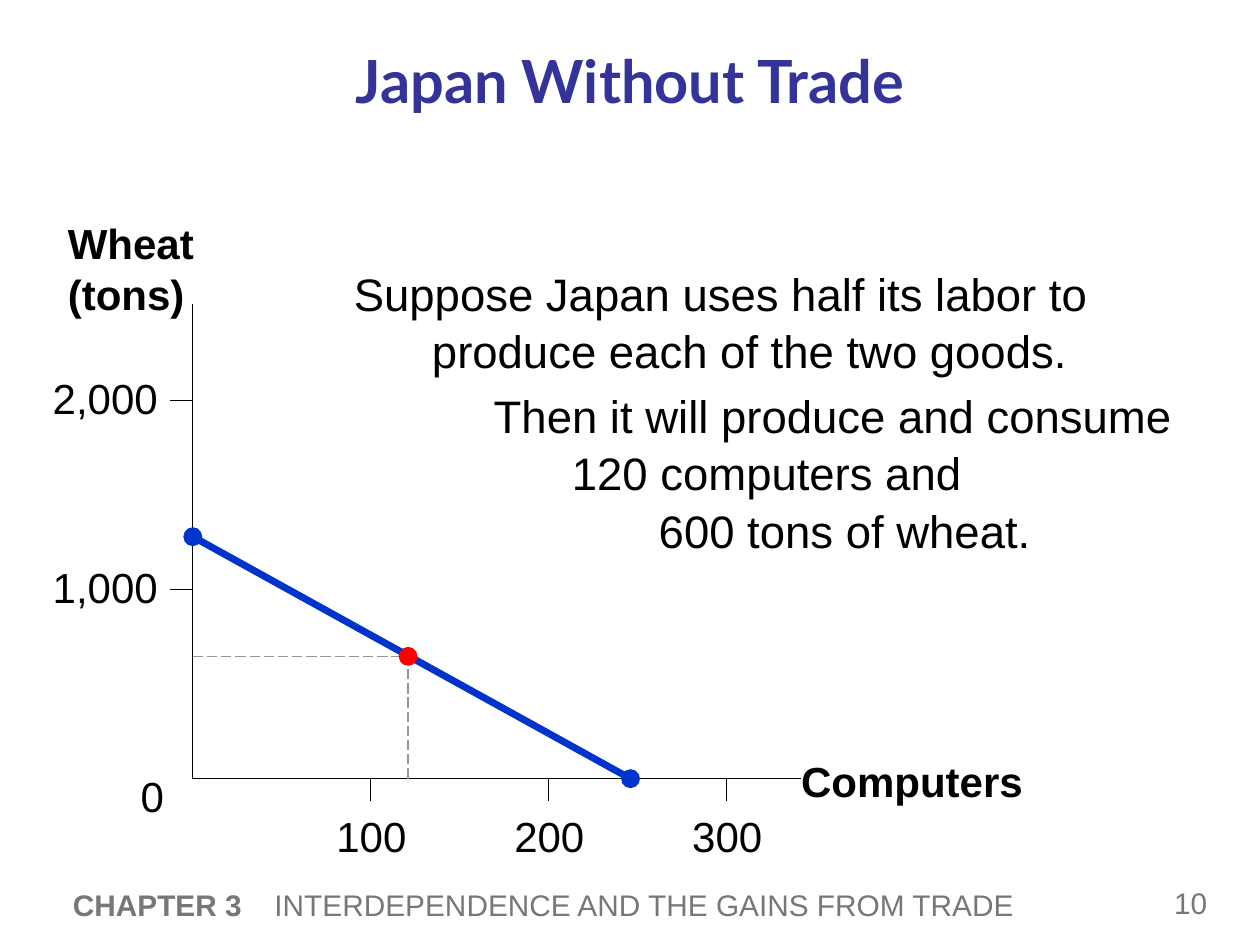
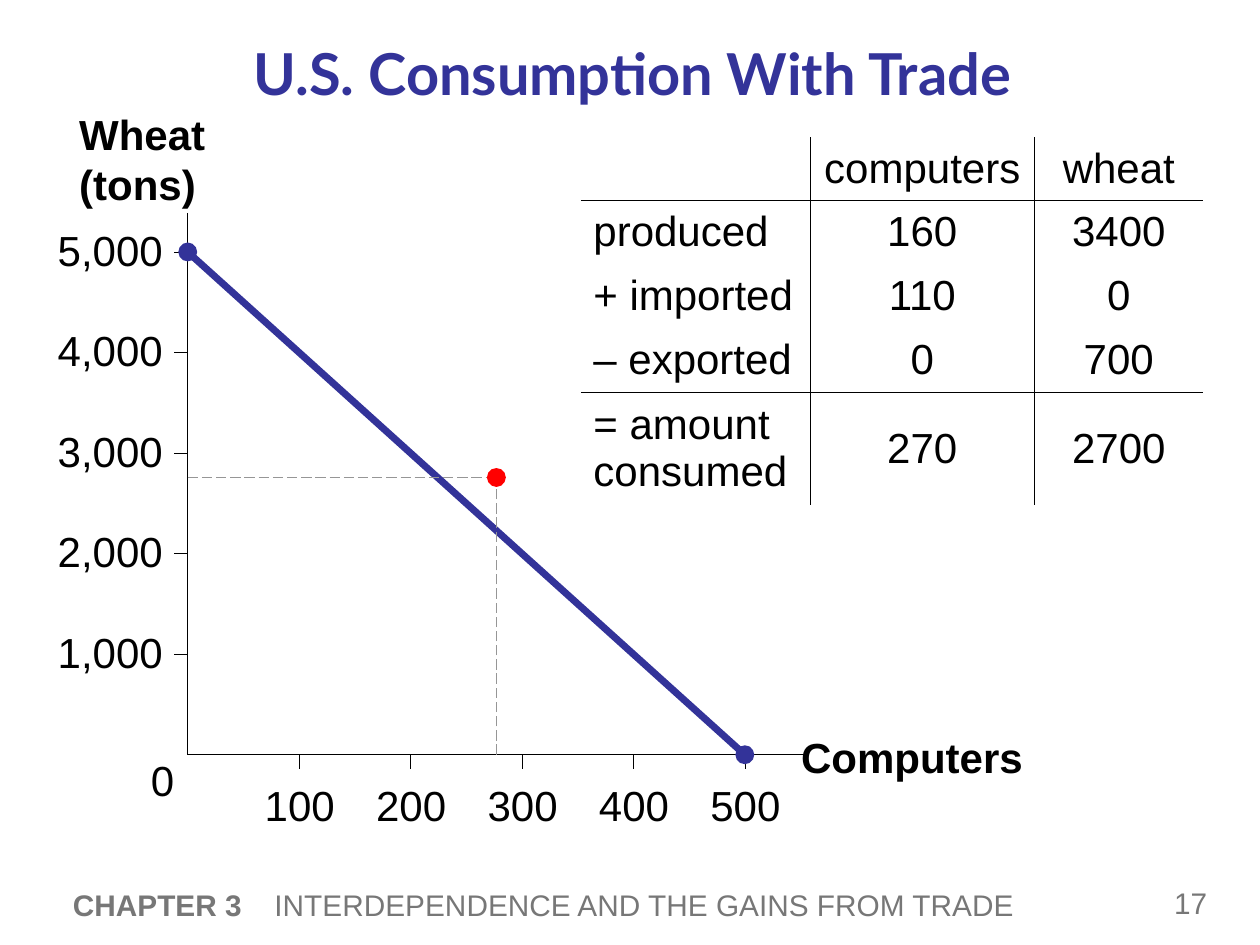
from dataclasses import dataclass

from lxml import etree
from pptx import Presentation
from pptx.dml.color import RGBColor
from pptx.enum.dml import MSO_LINE
from pptx.enum.shapes import MSO_CONNECTOR, MSO_SHAPE
from pptx.enum.text import MSO_ANCHOR, PP_ALIGN
from pptx.oxml.ns import qn
from pptx.util import Inches, Pt

LEFT, CENTER = PP_ALIGN.LEFT, PP_ALIGN.CENTER
TOP, MIDDLE = MSO_ANCHOR.TOP, MSO_ANCHOR.MIDDLE
STRAIGHT, OVAL, DASH = MSO_CONNECTOR.STRAIGHT, MSO_SHAPE.OVAL, MSO_LINE.LONG_DASH

COLORS = {"title": "333399", "text": "000000", "footer": "777777", "page": "FFFFFF",
          "japan": "0033CC", "us": "333399", "guide": "969696", "point": "FF0000"}
FONT, TITLE_FONT = "Arial", "Lato"
COLS, ROWS = 100, 75  # grid laid over the slide
LABEL = 24
DOT = 1.5

prs = Presentation()
prs.slide_width, prs.slide_height = Inches(10), Inches(7.5)
TITLE_ONLY = prs.slide_layouts[5]


def x_at(cols):
    return int(prs.slide_width * cols / COLS)


def y_at(rows):
    return int(prs.slide_height * rows / ROWS)


def place(box):
    x, y, w, h = box
    return x_at(x), y_at(y), x_at(w), y_at(h)


def rgb(name):
    return RGBColor.from_string(COLORS[name])


def style(p, size, color="text", bold=False, align=LEFT, font=FONT):
    p.alignment = align
    f = p.font
    f.name, f.size, f.bold, f.color.rgb = font, Pt(size), bold, rgb(color)


def add_text(s, box, lines, size=LABEL, anchor=TOP, **look):
    tf = s.shapes.add_textbox(*place(box)).text_frame
    tf.word_wrap, tf.vertical_anchor = True, anchor
    tf.text = lines
    for p in tf.paragraphs:
        style(p, size, **look)
    return tf


def add_line(s, start, end, width, color="text", dash=None):
    line = s.shapes.add_connector(STRAIGHT, x_at(start[0]), y_at(start[1]),
                                  x_at(end[0]), y_at(end[1]))
    line.line.width, line.line.color.rgb = Pt(width), rgb(color)
    if dash:
        line.line.dash_style = dash
    etree.SubElement(line._element.spPr, qn("a:effectLst"))


def add_dot(s, center, color):
    x, y = center
    dot = s.shapes.add_shape(OVAL, *place((x - DOT / 2, y - DOT / 2, DOT, DOT)))
    dot.shadow.inherit = False
    dot.fill.solid()
    dot.fill.fore_color.rgb = rgb(color)
    dot.line.fill.background()


# Title, footer and page number
def add_frame(title, title_box, title_size, number):
    s = prs.slides.add_slide(TITLE_ONLY)
    shape = s.shapes.title
    shape.left, shape.top, shape.width, shape.height = place(title_box)
    tf = shape.text_frame
    tf.text, tf.vertical_anchor = title, MIDDLE
    style(tf.paragraphs[0], title_size, "title", True, CENTER, TITLE_FONT)

    p = add_text(s, (4.8, 69.6, 85.9, 4.4), "CHAPTER 3", 17, MIDDLE,
                 color="footer").paragraphs[0]
    p.runs[0].font.bold = True
    p.add_run().text = "\tINTERDEPENDENCE AND THE GAINS FROM TRADE"
    tabs = etree.Element(qn("a:tabLst"))
    etree.SubElement(tabs, qn("a:tab"), pos=str(x_at(16)), algn="l")
    p._p.get_or_add_pPr().find(qn("a:defRPr")).addprevious(tabs)

    add_text(s, (92.2, 69.6, 6.7, 4.1), number, 17, MIDDLE, color="footer")
    return s


@dataclass
class Plot:
    """Axes box on the grid, the values at its far ends, and label offsets."""
    box: tuple
    x_max: float
    y_max: float
    tick: float
    y_label_dx: float
    x_label_dy: float
    zero: tuple
    wheat: tuple

    def at(self, computers, wheat):
        x, y, w, h = self.box
        return x + w * computers / self.x_max, y + h * (1 - wheat / self.y_max)


# Production possibilities frontier with a consumption point
def add_frontier(s, plot, ends, point, color):
    x0, y0 = plot.at(0, 0)
    top, right = plot.at(0, plot.y_max), plot.at(plot.x_max, 0)

    # Axes and their names
    add_line(s, top, (x0, y0), 0.75)
    add_line(s, (x0, y0), right, 0.75)
    add_text(s, (62.6, y0 - 2.3, 21, 5), "Computers", bold=True)
    add_text(s, (x0 + plot.wheat[0], top[1] + plot.wheat[1], 12.2, 9),
             "Wheat (tons)", bold=True)

    # Ticks and values
    for wheat in range(1000, int(plot.y_max), 1000):
        _, y = plot.at(0, wheat)
        add_line(s, (x0, y), (x0 - plot.tick, y), 0.25)
        add_text(s, (x0 + plot.y_label_dx, y - 2.7, 10.5, 5), f"{wheat:,}")
    for computers in range(100, int(plot.x_max), 100):
        x, _ = plot.at(computers, 0)
        add_line(s, (x, y0), (x, y0 + plot.tick), 0.25)
        add_text(s, (x - 6.4, y0 + plot.x_label_dy, 12.9, 5), str(computers), align=CENTER)
    add_text(s, (x0 + plot.zero[0] - 3, y0 + plot.zero[1], 6, 5), "0", align=CENTER)

    # Frontier between its two ends
    max_computers, max_wheat = ends
    a, b = plot.at(0, max_wheat), plot.at(max_computers, 0)
    add_line(s, a, b, 4, color)
    for end in (a, b):
        add_dot(s, end, color)

    # Consumption point and its guides
    x, y = plot.at(*point)
    for foot in ((x0, y), (x, y0)):
        add_line(s, foot, (x, y), 0.75, "guide", DASH)
    add_dot(s, (x, y), "point")


# Paragraphs given as (text, left margin, first-line indent)
def add_notes(s, box, notes):
    tf = add_text(s, box, "\n".join(text for text, _, _ in notes), 26)
    for p, (_, margin, indent) in zip(tf.paragraphs, notes):
        p.line_spacing = 1.05
        pPr = p._p.get_or_add_pPr()
        pPr.set("marL", str(x_at(margin)))
        pPr.set("indent", str(x_at(indent)))


def set_borders(cell, drawn):
    tcPr = cell._tc.get_or_add_tcPr()
    for side in "LRTB":
        ln = etree.SubElement(tcPr, qn(f"a:ln{side}"), w=str(Pt(0.45)))
        if side in drawn:
            fill = etree.SubElement(ln, qn("a:solidFill"))
            etree.SubElement(fill, qn("a:srgbClr"), val=COLORS["text"])
        else:
            etree.SubElement(ln, qn("a:noFill"))


# Table with inner column rules and a rule below each row in ruled
def add_trade_table(s, box, rows, widths, heights, ruled):
    table = s.shapes.add_table(len(rows), len(widths), *place(box)).table
    table.first_row = table.horz_banding = False
    for col, width in zip(table.columns, widths):
        col.width = x_at(width)
    for row, height in zip(table.rows, heights):
        row.height = y_at(height)
    for i, values in enumerate(rows):
        for j, value in enumerate(values):
            cell = table.cell(i, j)
            sides = {"L": j > 0, "R": j < len(widths) - 1,
                     "T": i - 1 in ruled, "B": i in ruled}
            set_borders(cell, [side for side, on in sides.items() if on])
            cell.fill.solid()
            cell.fill.fore_color.rgb = rgb("page")
            cell.vertical_anchor = MIDDLE
            cell.text = value
            style(cell.text_frame.paragraphs[0], LABEL, align=CENTER if j else LEFT)


def japan_slide():
    s = add_frame("Japan Without Trade", (5, 2.8, 90, 7.1), 34, "10")
    plot = Plot((15.3, 24.1, 48.3, 37.7), x_max=342, y_max=2513, tick=1.8,
                y_label_dx=-12.1, x_label_dy=2, zero=(-3.2, -1.1), wheat=(-10.9, -7.3))
    add_frontier(s, plot, ends=(246, 1280), point=(121, 647), color="japan")
    add_notes(s, (27.1, 20.4, 66.2, 10.1), [
        ("Suppose Japan uses half its labor to produce each of the two goods.", 6.2, -6.2)])
    add_notes(s, (38.2, 30.1, 59.6, 14.7), [
        ("Then it will produce and consume", 0, 0),
        ("120 computers and", 6.2, 0),
        ("600 tons of wheat.", 13.1, 0)])


def us_slide():
    s = add_frame("U.S. Consumption With Trade", (5.2, 2.2, 90, 7.1), 33, "17")
    plot = Plot((14.9, 16.9, 48.9, 43), x_max=553, y_max=5388, tick=1.1,
                y_label_dx=-11.3, x_label_dy=1.5, zero=(-2, -0.5), wheat=(-9.6, -8.8))
    add_frontier(s, plot, ends=(500, 5000), point=(277, 2757), color="us")
    add_trade_table(s, (46.1, 10.9, 49.4, 29.2), [
        ("", "computers", "wheat"),
        ("produced", "160", "3400"),
        ("+ imported", "110", "0"),
        ("– exported", "0", "700"),
        ("= amount consumed", "270", "2700"),
    ], widths=(18.2, 17.8, 13.4), heights=(5, 5, 5.1, 5.1, 9), ruled=(0, 3))


def main():
    japan_slide()
    us_slide()
    prs.save("out.pptx")


if __name__ == "__main__":
    main()
